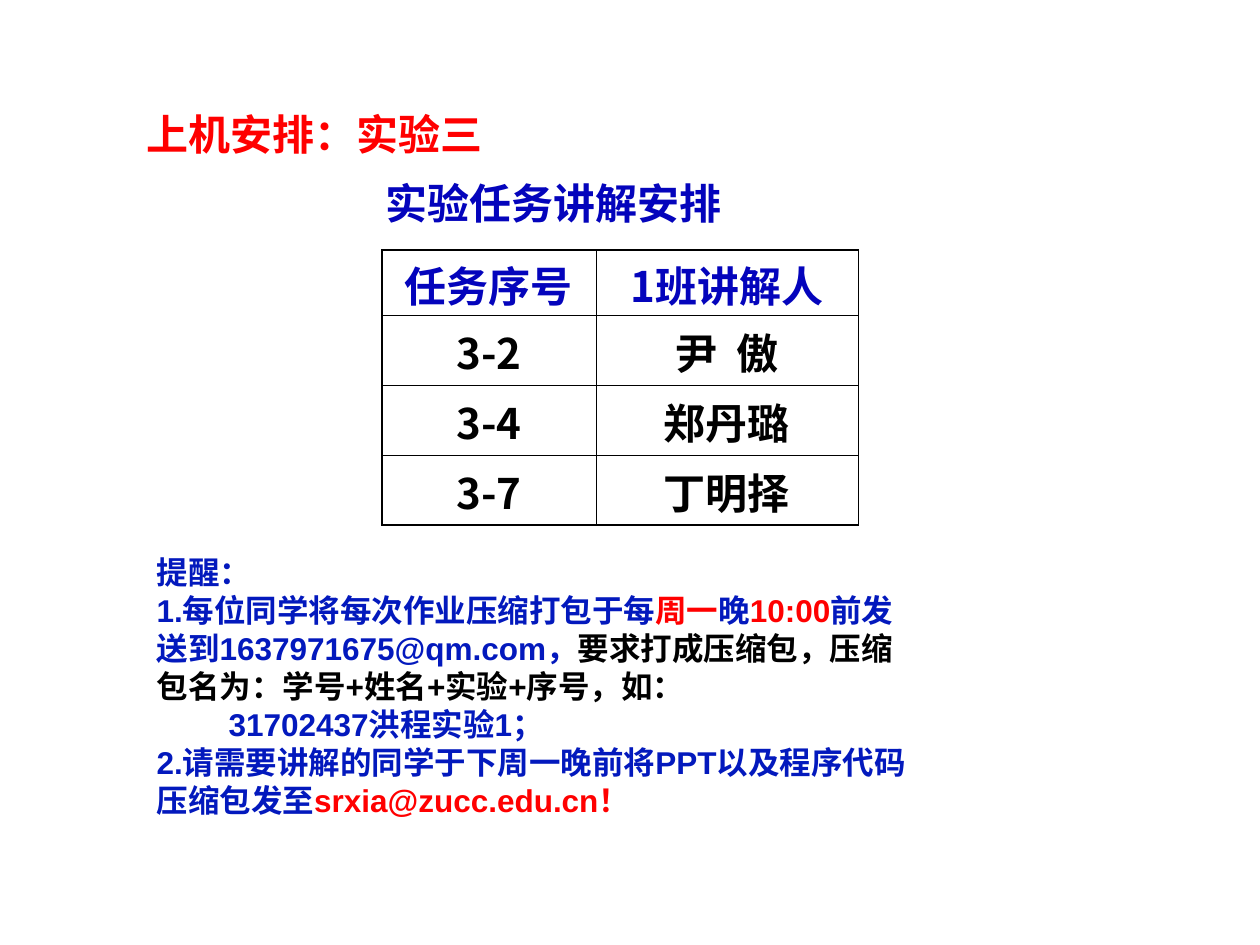
from pptx import Presentation
from pptx.dml.color import RGBColor
from pptx.enum.text import MSO_ANCHOR, MSO_AUTO_SIZE, PP_ALIGN
from pptx.oxml.ns import qn
from pptx.util import Emu, Pt
from lxml.etree import SubElement

EMU_PER_PX = 914400 / 126
CJK = "Noto Sans CJK SC"
COLORS = {"red": "FF0000", "heading": "0404BC", "note": "0319BD", "black": "000000"}

# Each paragraph: left indent in px, space before in pt, runs of (text, colour)
TITLE = [
    (0, 0, [("上机安排：实验三", "red")]),
    (239, 11.2, [("实验任务讲解安排", "heading")]),
]
REMINDERS = [
    (0, 0, [("提醒：", "note")]),
    (0, 0, [("1.每位同学将每次作业压缩打包于每", "note"), ("周一", "red"),
            ("晚", "note"), ("10:00", "red"),
            ("前发送到1637971675@qm.com，", "note"),
            ("要求打成压缩包，压缩包名为：学号+姓名+实验+序号，如：", "black")]),
    (72, 0, [("31702437洪程实验1；", "note")]),
    (0, 0, [("2.请需要讲解的同学于下周一晚前将PPT以及程序代码压缩包发至", "note"),
            ("srxia@zucc.edu.cn！", "red")]),
]
SCHEDULE = [("任务序号", "1班讲解人"), ("3-2", "尹  傲"), ("3-4", "郑丹璐"), ("3-7", "丁明择")]
COL_WIDTHS = [214, 262]
ROW_HEIGHTS = [65, 70, 70, 70]


def px(n):
    return Emu(round(n * EMU_PER_PX))


def format_run(r, size, color, font):
    r.font.size = Pt(size)
    r.font.bold = True
    r.font.name = font
    r.font.color.rgb = RGBColor.from_string(COLORS[color])
    SubElement(r.font._element, qn("a:ea")).set("typeface", CJK)


def fill_placeholder(sp, box, paragraphs, size, line_pt):
    sp.left, sp.top, sp.width, sp.height = map(px, box)
    tf = sp.text_frame
    tf.word_wrap = True
    tf.auto_size = MSO_AUTO_SIZE.NONE
    tf.vertical_anchor = MSO_ANCHOR.TOP
    for i, (indent, before, runs) in enumerate(paragraphs):
        p = tf.add_paragraph() if i else tf.paragraphs[0]
        pPr = p._p.get_or_add_pPr()
        pPr.set("marL", str(px(indent)))
        pPr.set("indent", "0")
        SubElement(pPr, qn("a:buNone"))
        p.alignment = PP_ALIGN.LEFT
        p.line_spacing = Pt(line_pt)
        p.space_before = Pt(before)
        for text, color in runs:
            r = p.add_run()
            r.text = text
            format_run(r, size, color, "Arial")


def set_borders(cell, widths):
    tcPr = cell._tc.get_or_add_tcPr()
    for side, width in widths.items():
        ln = SubElement(tcPr, qn(f"a:ln{side}"), w=str(Pt(width)))
        fill = SubElement(ln, qn("a:solidFill"))
        SubElement(fill, qn("a:srgbClr"), val=COLORS["black"])


def format_cell(cell, text, color, borders):
    cell.margin_top, cell.margin_bottom = px(3), 0
    cell.vertical_anchor = MSO_ANCHOR.MIDDLE
    set_borders(cell, borders)
    cell.fill.background()
    p = cell.text_frame.paragraphs[0]
    p.text = text
    p.alignment = PP_ALIGN.CENTER
    format_run(p.runs[0], 24, color, CJK)


def add_schedule(s, left, top):
    rows, cols = len(SCHEDULE), len(COL_WIDTHS)
    table = s.shapes.add_table(rows, cols, px(left), px(top),
                               px(sum(COL_WIDTHS)), px(sum(ROW_HEIGHTS))).table
    table.first_row = table.horz_banding = False
    for column, width in zip(table.columns, COL_WIDTHS):
        column.width = px(width)
    for row, height in zip(table.rows, ROW_HEIGHTS):
        row.height = px(height)
    thin, thick = 0.45, 1.08
    for i, texts in enumerate(SCHEDULE):
        for j, text in enumerate(texts):
            borders = {"L": thin if j else thick, "R": thin,
                       "T": thin if i else thick,
                       "B": thick if i == rows - 1 else thin}
            format_cell(table.cell(i, j), text, "black" if i else "heading", borders)


def main():
    prs = Presentation()
    prs.slide_width, prs.slide_height = px(1260), px(945)
    s = prs.slides.add_slide(prs.slide_layouts[1])

    # Title with the table heading below it
    fill_placeholder(s.shapes.title, (134, 102, 992, 134), TITLE, 24, 28.7)
    # Who presents which task
    add_schedule(s, 382, 250)
    # Hand-in reminders
    fill_placeholder(s.placeholders[1], (144, 546, 788, 277), REMINDERS, 18, 21.7)

    prs.save("out.pptx")


if __name__ == "__main__":
    main()
